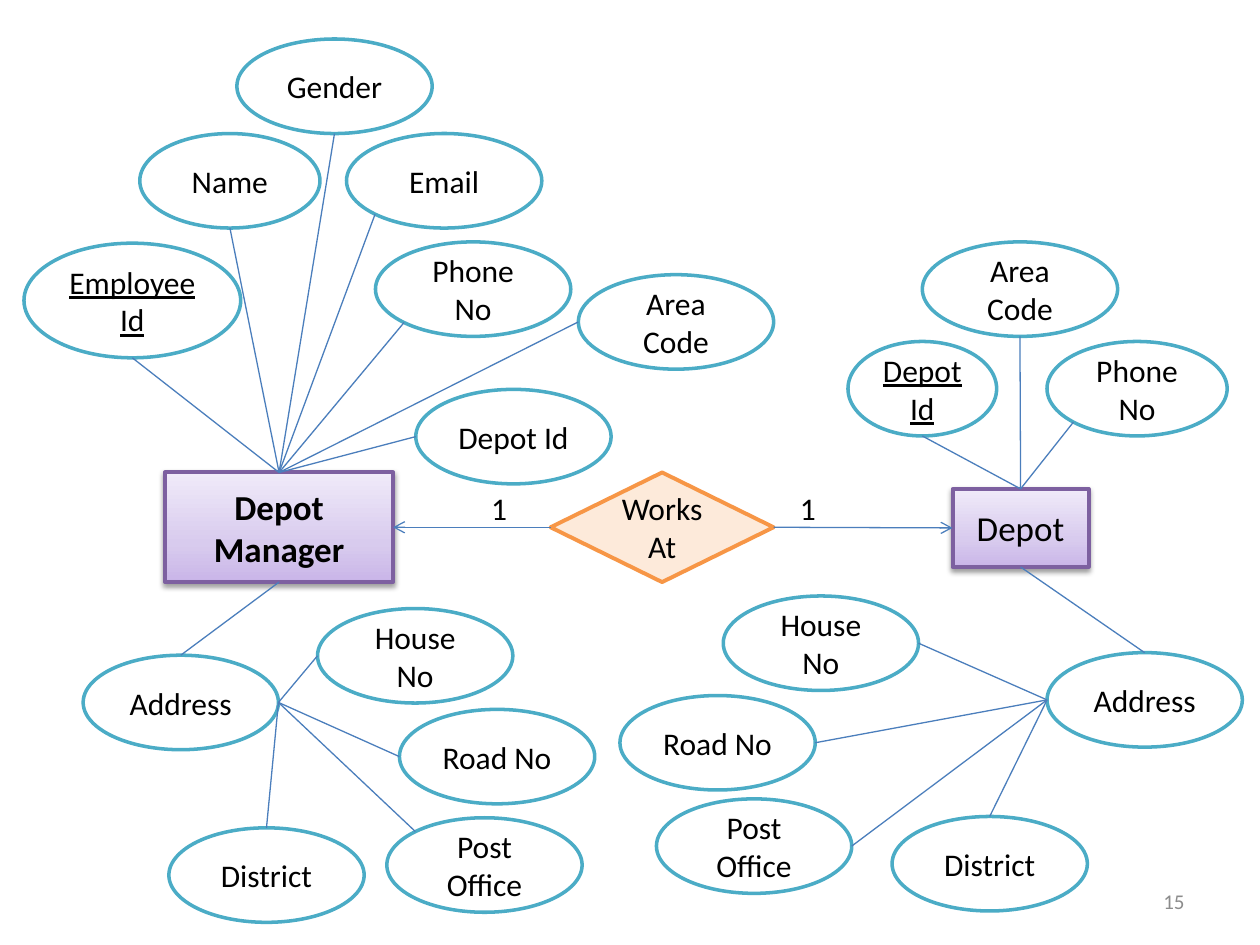
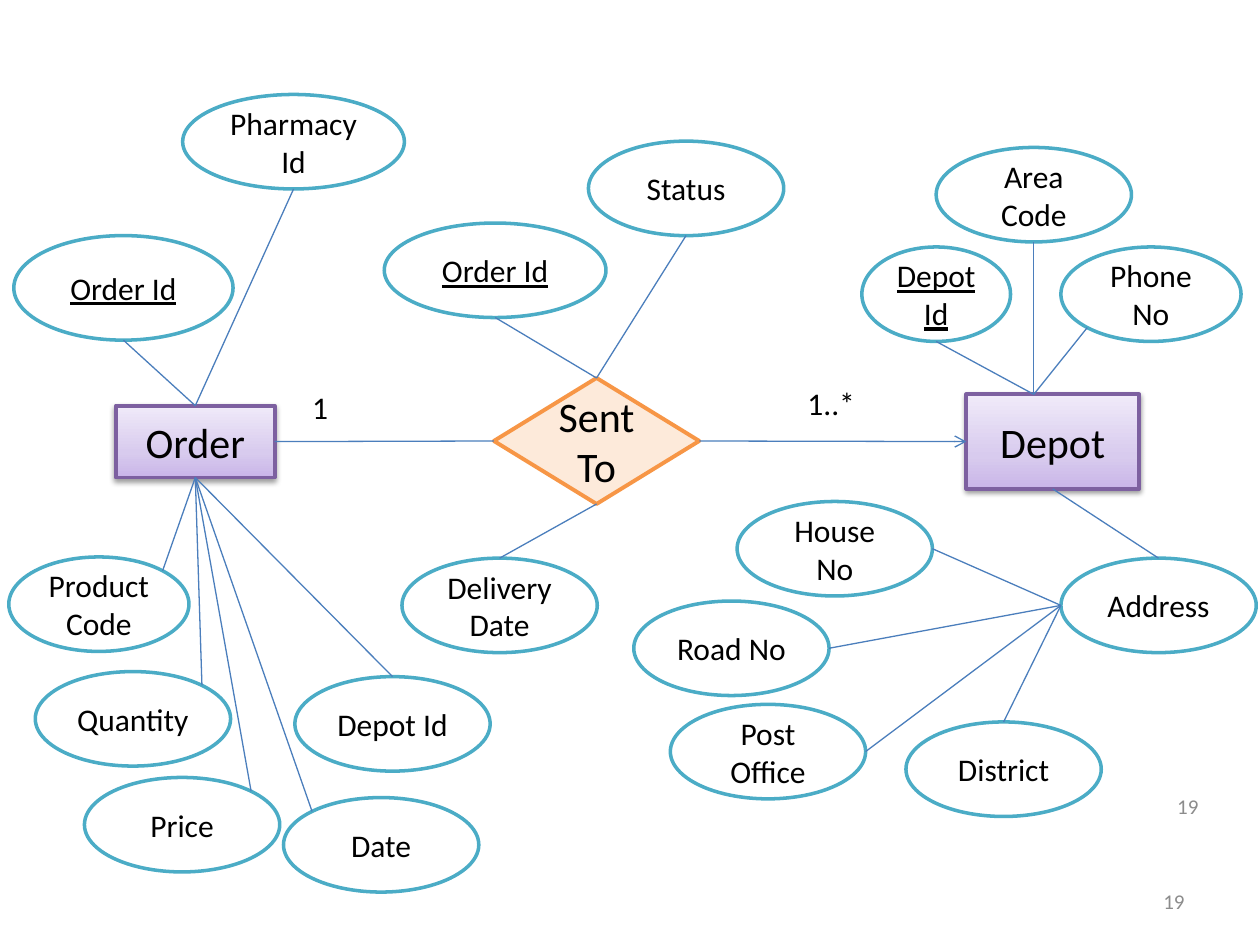
from copy import deepcopy
from dataclasses import dataclass
from math import sqrt

from lxml.etree import SubElement
from pptx import Presentation
from pptx.dml.color import RGBColor as RGB
from pptx.enum.shapes import MSO_CONNECTOR as CONN, MSO_SHAPE as SHAPE
from pptx.enum.text import MSO_ANCHOR as ANCHOR, PP_ALIGN as ALIGN
from pptx.oxml.ns import qn
from pptx.util import Inches, Pt


@dataclass(frozen=True)
class Theme:
    font: str = "Calibri"
    ink: str = "000000"
    muted: str = "8C8C8C"
    wire: str = "4B7EBC"
    attr_fill: str = "FFFFFF"
    attr_line: str = "4BACC6"
    entity_line: str = "7D60A0"
    entity_stops: tuple = ((0, "C9B5E8"), (0.35, "D8CBEE"), (1, "F0EAF9"))
    relation_fill: str = "FDEADA"
    relation_line: str = "F79646"
    body: int = 18
    footer: int = 12
    thin: float = 0.75
    oval: float = 2
    bold: float = 2.25


@dataclass(frozen=True)
class Attr:
    text: str
    x: float
    y: float
    side: str
    w: float = 1.55
    h: float = 0.75
    key: bool = False
    hub_side: str = "n"
    children: tuple = ()


T = Theme()
WIDTH, HEIGHT = 10, 7.5
LABEL_SIZE = (0.67, 0.4)
NUMBER_SIZE = (2.33, 0.4)
NUMBER_AT = (7.17, 6.95)
DIAG = sqrt(0.5)
SIDES = {"n": (0, -1), "w": (-1, 0), "s": (0, 1), "e": (1, 0),
         "nw": (-DIAG, -DIAG), "ne": (DIAG, -DIAG),
         "sw": (-DIAG, DIAG), "se": (DIAG, DIAG)}
GLUE = "nwse"

MANAGER_ATTRS = (
    Attr("Employee Id", 0.19, 1.93, "s", w=1.72, h=0.91, key=True),
    Attr("Name", 1.11, 1.06, "s", w=1.43),
    Attr("Gender", 1.88, 0.31, "s"),
    Attr("Email", 2.75, 1.06, "sw"),
    Attr("Phone No", 2.98, 1.92, "sw"),
    Attr("Area Code", 4.59, 2.18, "w"),
    Attr("Depot Id", 3.3, 3.09, "w"),
    Attr("Address", 0.66, 5.2, "n", hub_side="s", children=(
        Attr("House No", 2.52, 4.83, "w", hub_side="e"),
        Attr("Road No", 3.17, 5.63, "w", hub_side="e"),
        Attr("Post Office", 3.07, 6.49, "nw", hub_side="e"),
        Attr("District", 1.34, 6.57, "n", hub_side="e"))),
)
DEPOT_ATTRS = (
    Attr("Depot Id", 6.73, 2.71, "s", w=1.18, key=True),
    Attr("Area Code", 7.32, 1.92, "s"),
    Attr("Phone No", 8.31, 2.71, "sw", w=1.43),
    Attr("Address", 8.31, 5.18, "n", hub_side="s", children=(
        Attr("House No", 5.74, 4.73, "e", hub_side="w"),
        Attr("Road No", 4.92, 5.52, "e", hub_side="w"),
        Attr("Post Office", 5.21, 6.34, "e", hub_side="w"),
        Attr("District", 7.08, 6.48, "n", hub_side="w"))),
)
ORDER_ATTRS = (
    Attr("Order Id", 0.11, 1.87, "s", w=1.74, h=0.83, key=True),
    Attr("Pharmacy Id", 1.45, 0.75, "s", w=1.76),
    Attr("Product Code", 0.07, 4.42, "ne", w=1.43, hub_side="s"),
    Attr("Quantity", 0.28, 5.33, "ne", hub_side="s"),
    Attr("Price", 0.67, 6.17, "ne", hub_side="s"),
    Attr("Date", 2.25, 6.33, "nw", hub_side="s"),
    Attr("Depot Id", 2.34, 5.37, "n", hub_side="s"),
)
SENT_ATTRS = (
    Attr("Order Id", 3.05, 1.77, "s", w=1.76, key=True),
    Attr("Status", 4.67, 1.12, "s"),
    Attr("Delivery Date", 3.19, 4.43, "n", hub_side="s"),
)

DIAGRAMS = (
    dict(number="15", numbers_at=(NUMBER_AT,),
         left=dict(text="Depot Manager", box=(1.31, 3.75, 1.81, 0.87),
                   size=20, bold=True, attrs=MANAGER_ATTRS),
         relation=dict(text="Works At", box=(4.37, 3.75, 1.77, 0.87),
                       size=18, attrs=()),
         right=dict(text="Depot", box=(7.56, 3.88, 1.08, 0.62),
                    size=20, attrs=DEPOT_ATTRS),
         left_arrow=True,
         labels=(("1", 3.8, 3.83), ("1", 6.25, 3.83))),
    dict(number="19", numbers_at=(NUMBER_AT, (7.28, 6.2)),
         left=dict(text="Order", box=(0.92, 3.22, 1.26, 0.57),
                   size=24, attrs=ORDER_ATTRS),
         relation=dict(text="Sent To", box=(3.92, 3, 1.63, 1),
                       size=24, attrs=SENT_ATTRS),
         right=dict(text="Depot", box=(7.67, 3.13, 1.37, 0.75), size=24,
                    attrs=DEPOT_ATTRS, shift=(0.11, -0.75), nudge=-0.15),
         left_arrow=False,
         labels=(("1", 2.38, 3.03), ("1..*", 6.31, 3))),
)


def write(sp, text, size=T.body, color=T.ink, bold=False, underline=False,
          align=ALIGN.CENTER, anchor=ANCHOR.MIDDLE):
    tf = sp.text_frame
    tf.word_wrap = True
    tf.vertical_anchor = anchor
    p = tf.paragraphs[0]
    p.alignment = align
    r = p.add_run()
    r.text = text
    f = r.font
    f.name, f.size, f.bold, f.underline = T.font, Pt(size), bold, underline
    f.color.rgb = RGB.from_string(color)


def add_text(s, text, x, y, box_size, **fmt):
    write(s.shapes.add_textbox(*map(Inches, (x, y, *box_size))), text, **fmt)


def add_node(s, kind, box, line, width, fill=None):
    sp = s.shapes.add_shape(kind, *map(Inches, box))
    sp.shadow.inherit = False
    sp.line.color.rgb = RGB.from_string(line)
    sp.line.width = Pt(width)
    if fill:
        sp.fill.solid()
        sp.fill.fore_color.rgb = RGB.from_string(fill)
    return sp


def add_entity(s, text, box, size, bold=False):
    sp = add_node(s, SHAPE.RECTANGLE, box, T.entity_line, T.bold)
    sp.fill.gradient()
    sp.fill.gradient_angle = 90
    stops = sp._element.spPr.find(".//" + qn("a:gsLst"))
    stops.insert(1, deepcopy(stops[0]))
    for stop, (pos, color) in zip(sp.fill.gradient_stops, T.entity_stops):
        stop.position = pos
        stop.color.rgb = RGB.from_string(color)
    effects = sp._element.spPr.find(qn("a:effectLst"))
    shadow = SubElement(effects, qn("a:outerShdw"), blurRad=str(Pt(3.1)),
                        dist=str(Pt(1.6)), dir="5400000", rotWithShape="0")
    color = SubElement(shadow, qn("a:srgbClr"), val=T.ink)
    SubElement(color, qn("a:alpha"), val="38000")
    write(sp, text, size=size, bold=bold)
    return sp


def add_relation(s, text, box, size):
    sp = add_node(s, SHAPE.FLOWCHART_DECISION, box, T.relation_line, T.bold,
                  T.relation_fill)
    write(sp, text, size=size)
    return sp


def point(sp, side, nudge=0):
    dx, dy = SIDES[side]
    return (int(sp.left + sp.width * (1 + dx) / 2 + Inches(nudge)),
            int(sp.top + sp.height * (1 + dy) / 2))


def link(s, start, start_side, end, end_side, nudge=0, arrow=False):
    c = s.shapes.add_connector(CONN.STRAIGHT, *point(start, start_side),
                               *point(end, end_side, nudge))
    if start.auto_shape_type != SHAPE.OVAL:
        c.begin_connect(start, GLUE.index(start_side))
    if end.auto_shape_type != SHAPE.OVAL and not nudge:
        c.end_connect(end, GLUE.index(end_side))
    c.line.color.rgb = RGB.from_string(T.wire)
    c.line.width = Pt(T.thin)
    if arrow:
        SubElement(c.line._get_or_add_ln(), qn("a:tailEnd"), type="arrow")
    SubElement(c._element.spPr, qn("a:effectLst"))


def add_attrs(s, hub, attrs, shift=(0, 0), nudge=0):
    for a in attrs:
        box = (a.x + shift[0], a.y + shift[1], a.w, a.h)
        sp = add_node(s, SHAPE.OVAL, box, T.attr_line, T.oval, T.attr_fill)
        write(sp, a.text, underline=a.key)
        link(s, sp, a.side, hub, a.hub_side,
             nudge=nudge if a.hub_side == "n" else 0)
        add_attrs(s, sp, a.children, shift)


def add_group(s, draw, text, box, size, attrs, shift=(0, 0), nudge=0, **fmt):
    hub = draw(s, text, box, size, **fmt)
    add_attrs(s, hub, attrs, shift, nudge)
    return hub


def add_diagram(prs, d):
    s = prs.slides.add_slide(prs.slide_layouts[6])
    for x, y in d["numbers_at"]:
        add_text(s, d["number"], x, y, NUMBER_SIZE, size=T.footer,
                 color=T.muted, align=ALIGN.RIGHT)
    left = add_group(s, add_entity, **d["left"])
    relation = add_group(s, add_relation, **d["relation"])
    right = add_group(s, add_entity, **d["right"])
    link(s, relation, "w", left, "e", arrow=d["left_arrow"])
    link(s, relation, "e", right, "w", arrow=True)
    for text, x, y in d["labels"]:
        add_text(s, text, x, y, LABEL_SIZE, align=ALIGN.LEFT,
                 anchor=ANCHOR.TOP)


def main():
    prs = Presentation()
    prs.slide_width, prs.slide_height = Inches(WIDTH), Inches(HEIGHT)
    for d in DIAGRAMS:
        add_diagram(prs, d)
    prs.save("out.pptx")


if __name__ == "__main__":
    main()
